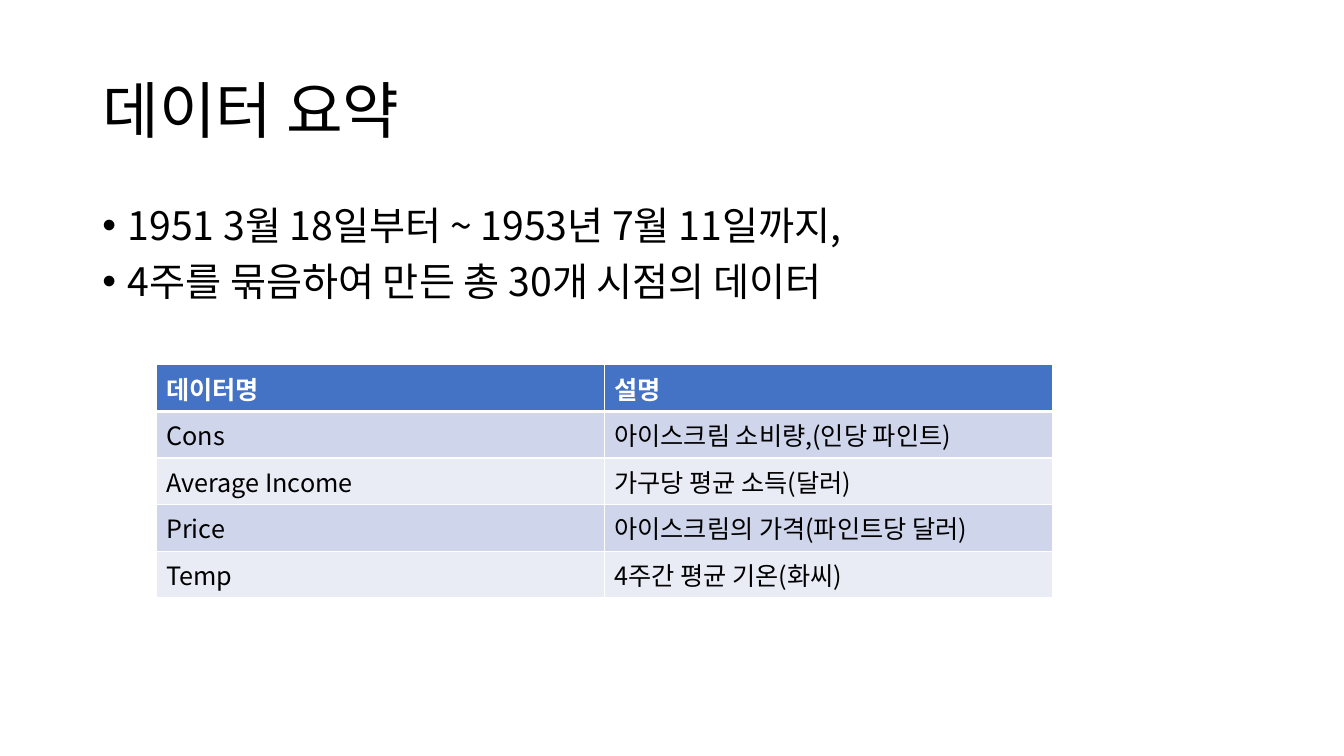
from dataclasses import dataclass

from lxml.etree import SubElement
from pptx import Presentation
from pptx.dml.color import RGBColor
from pptx.enum.text import MSO_ANCHOR, MSO_AUTO_SIZE, PP_ALIGN
from pptx.oxml.ns import qn
from pptx.util import Pt


@dataclass(frozen=True)
class Theme:
    """Colours, font and type sizes of the slide."""

    font: str = "Noto Sans CJK KR"
    text: str = "000000"
    white: str = "FFFFFF"
    header: str = "4472C4"
    bands: tuple = ("CFD5EA", "E9EBF5")
    title_size: int = 44
    body_size: int = 28
    table_size: int = 18


THEME = Theme()
BULLETS = (
    "1951 3월 18일부터 ~ 1953년 7월 11일까지,",
    "4주를 묶음하여 만든 총 30개 시점의 데이터",
)
VARIABLES = (
    ("데이터명", "설명"),
    ("Cons", "아이스크림 소비량,(인당 파인트)"),
    ("Average Income", "가구당 평균 소득(달러)"),
    ("Price", "아이스크림의 가격(파인트당 달러)"),
    ("Temp", "4주간 평균 기온(화씨)"),
)


def format_runs(paragraph, size, color, bold=False):
    """Apply the theme font to every run, for Latin and East Asian text."""
    for run in paragraph.runs:
        run.font.size = Pt(size)
        run.font.bold = bold
        run.font.color.rgb = RGBColor.from_string(color)
        run.font.name = THEME.font
        SubElement(run.font._element, qn("a:ea"), typeface=THEME.font)


def place(shape, box, anchor):
    """Move a placeholder to a box given in points and fix its text layout."""
    shape.left, shape.top, shape.width, shape.height = map(Pt, box)
    shape.text_frame.word_wrap = True
    shape.text_frame.auto_size = MSO_AUTO_SIZE.NONE
    shape.text_frame.vertical_anchor = anchor


def add_title(slide, box, text):
    """Fill the title placeholder."""
    title = slide.shapes.title
    place(title, box, MSO_ANCHOR.MIDDLE)
    title.text_frame.text = text
    paragraph = title.text_frame.paragraphs[0]
    paragraph.alignment = PP_ALIGN.LEFT
    paragraph.line_spacing = 0.9
    format_runs(paragraph, THEME.title_size, THEME.text)


def add_bullets(slide, box, lines):
    """Fill the body placeholder with a bulleted list."""
    body = slide.placeholders[1]
    place(body, box, MSO_ANCHOR.TOP)
    body.text_frame.text = "\n".join(lines)
    for paragraph in body.text_frame.paragraphs:
        paragraph.line_spacing = 0.9
        paragraph.space_before = Pt(10)
        properties = paragraph._p.get_or_add_pPr()
        properties.set("marL", str(Pt(18)))
        properties.set("indent", str(-Pt(18)))
        SubElement(properties, qn("a:buFont"), typeface="Arial")
        SubElement(properties, qn("a:buChar"), char="•")
        format_runs(paragraph, THEME.body_size, THEME.text)


def add_borders(cell, top, bottom):
    """Draw white borders around a cell, with widths in points."""
    properties = cell._tc.get_or_add_tcPr()
    for side, width in (("L", 1), ("R", 1), ("T", top), ("B", bottom)):
        line = SubElement(properties, qn(f"a:ln{side}"), w=str(Pt(width)))
        fill = SubElement(line, qn("a:solidFill"))
        SubElement(fill, qn("a:srgbClr"), val=THEME.white)


def add_variable_table(slide, box, rows):
    """Add the table of variables with a header row and banded rows."""
    table = slide.shapes.add_table(len(rows), len(rows[0]), *map(Pt, box)).table
    for row_index, row in enumerate(rows):
        is_header = row_index == 0
        background = THEME.header if is_header else THEME.bands[(row_index - 1) % 2]
        color = THEME.white if is_header else THEME.text
        for column_index, text in enumerate(row):
            cell = table.cell(row_index, column_index)
            add_borders(cell, 3 if row_index == 1 else 1, 3 if is_header else 1)
            cell.fill.solid()
            cell.fill.fore_color.rgb = RGBColor.from_string(background)
            cell.text_frame.text = text
            format_runs(cell.text_frame.paragraphs[0], THEME.table_size, color, is_header)


def add_summary_slide(presentation):
    """Add the data summary slide."""
    slide = presentation.slides.add_slide(presentation.slide_layouts[1])
    add_title(slide, (66, 28.8, 828, 104.4), "데이터 요약")
    add_bullets(slide, (66, 143.75, 828, 342.6), BULLETS)
    add_variable_table(slide, (111.6, 260.6, 640, 146), VARIABLES)


def main():
    """Build and save the presentation."""
    presentation = Presentation()
    presentation.slide_width, presentation.slide_height = Pt(960), Pt(540)
    add_summary_slide(presentation)
    presentation.save("out.pptx")


if __name__ == "__main__":
    main()
